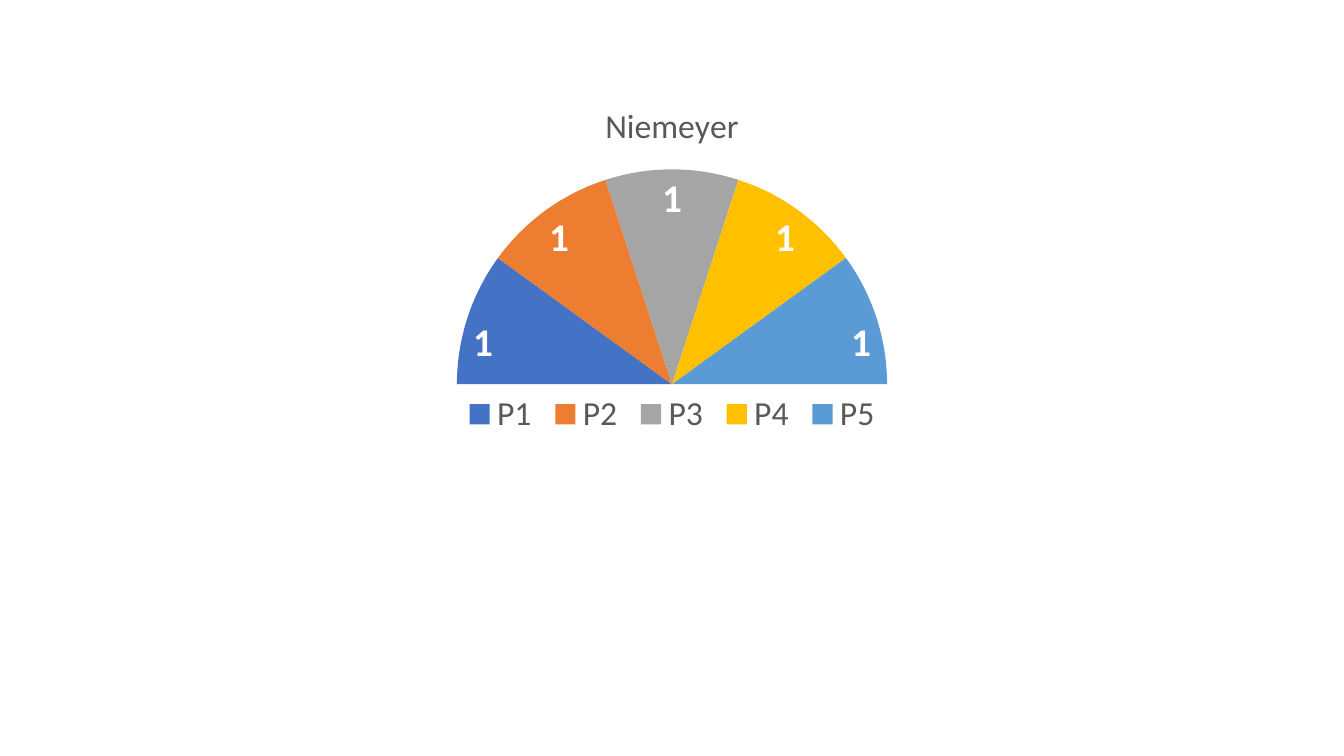
from lxml.etree import fromstring
from pptx import Presentation
from pptx.chart.data import CategoryChartData as ChartData
from pptx.dml.color import RGBColor
from pptx.enum.chart import XL_CHART_TYPE as Kind
from pptx.enum.chart import XL_LABEL_POSITION as Spot
from pptx.enum.chart import XL_LEGEND_POSITION as Side
from pptx.oxml.ns import nsdecls, qn
from pptx.util import Inches, Pt

COLORS = {
    "blue": "4472C4",
    "orange": "ED7D31",
    "gray": "A5A5A5",
    "gold": "FFC000",
    "sky": "5B9BD5",
    "white": "FFFFFF",
    "text": "595959",
}
SLICES = ["blue", "orange", "gray", "gold", "sky", "white"]
BASE = len(SLICES) - 1


def node(tag, inner):
    return fromstring(f'<c:{tag} {nsdecls("c")}>{inner}</c:{tag}>')


def style(font, size=24, color="text", bold=False):
    font.name = "Calibri"
    font.size = Pt(size)
    font.bold = bold
    font.color.rgb = RGBColor.from_string(COLORS[color])


def put_text(frame, text, **look):
    frame.text = text
    style(frame.paragraphs[0].runs[0].font, **look)


def place(part, index, inner=False, **box):
    for old in part.findall(qn("c:layout")):
        part.remove(old)
    target = '<c:layoutTarget val="inner"/>' if inner else ""
    modes = '<c:xMode val="edge"/><c:yMode val="edge"/>'
    sizes = "".join(f'<c:{key} val="{val}"/>' for key, val in box.items())
    layout = f"<c:manualLayout>{target}{modes}{sizes}</c:manualLayout>"
    part.insert(index, node("layout", layout))


def add_pie(slide, name, values):
    data = ChartData()
    data.categories = [f"P{i + 1}" for i in range(len(values))]
    data.add_series(name, values)
    chart = slide.shapes.add_chart(
        Kind.PIE, Inches(2.22), Inches(0.79), Inches(8.89), Inches(5.93), data
    ).chart
    chart.font.name = "Calibri"
    chart.font.size = Pt(10)
    chart.has_title = True
    put_text(chart.chart_title.text_frame, name)
    return chart


def paint(chart):
    plot = chart.plots[0]
    plot.vary_by_categories = True
    series = plot.series[0]
    for i, color in enumerate(SLICES):
        fill = series.points[i].format.fill
        fill.solid()
        fill.fore_color.rgb = RGBColor.from_string(COLORS[color])
    labels = series.data_labels
    labels.show_value = True
    labels.position = Spot.INSIDE_END
    style(labels.font, size=28, color="white", bold=True)
    hidden = f'<c:idx val="{BASE}"/><c:delete val="1"/>'
    series._element.find(qn("c:dLbls")).insert(0, node("dLbl", hidden))


def turn(chart, angle):
    area = chart._chartSpace.chart.plotArea
    pie = area.find(qn("c:pieChart"))
    for old in pie.findall(qn("c:firstSliceAng")):
        pie.remove(old)
    start = node("firstSliceAng", "")
    start.set("val", str(angle))
    pie.append(start)
    place(area, 0, inner=True, x=0.26, y=0.15, w=0.48, h=0.72)


def add_legend(chart):
    chart.has_legend = True
    legend = chart.legend
    legend.position = Side.BOTTOM
    legend.include_in_layout = False
    style(legend.font)
    part = legend._element
    hidden = f'<c:idx val="{BASE}"/><c:delete val="1"/>'
    part.insert(1, node("legendEntry", hidden))
    place(part, 2, x=0.26, y=0.51, w=0.48, h=0.1)


def main():
    deck = Presentation()
    deck.slide_width = Inches(13.33)
    deck.slide_height = Inches(7.5)
    slide = deck.slides.add_slide(deck.slide_layouts[6])
    chart = add_pie(slide, "Niemeyer", [1] * BASE + [BASE])
    paint(chart)
    turn(chart, 270)
    add_legend(chart)
    deck.save("out.pptx")


if __name__ == "__main__":
    main()
